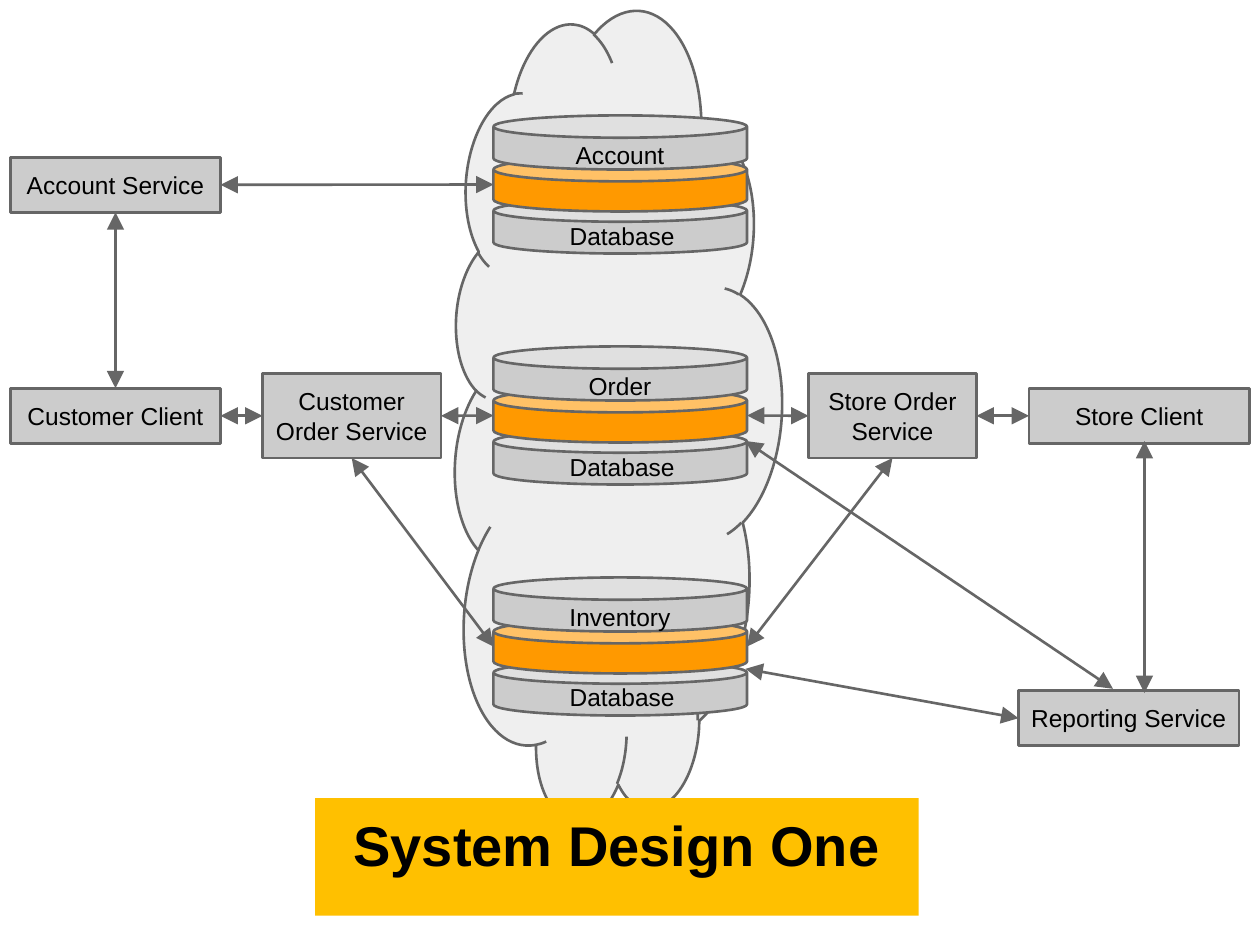
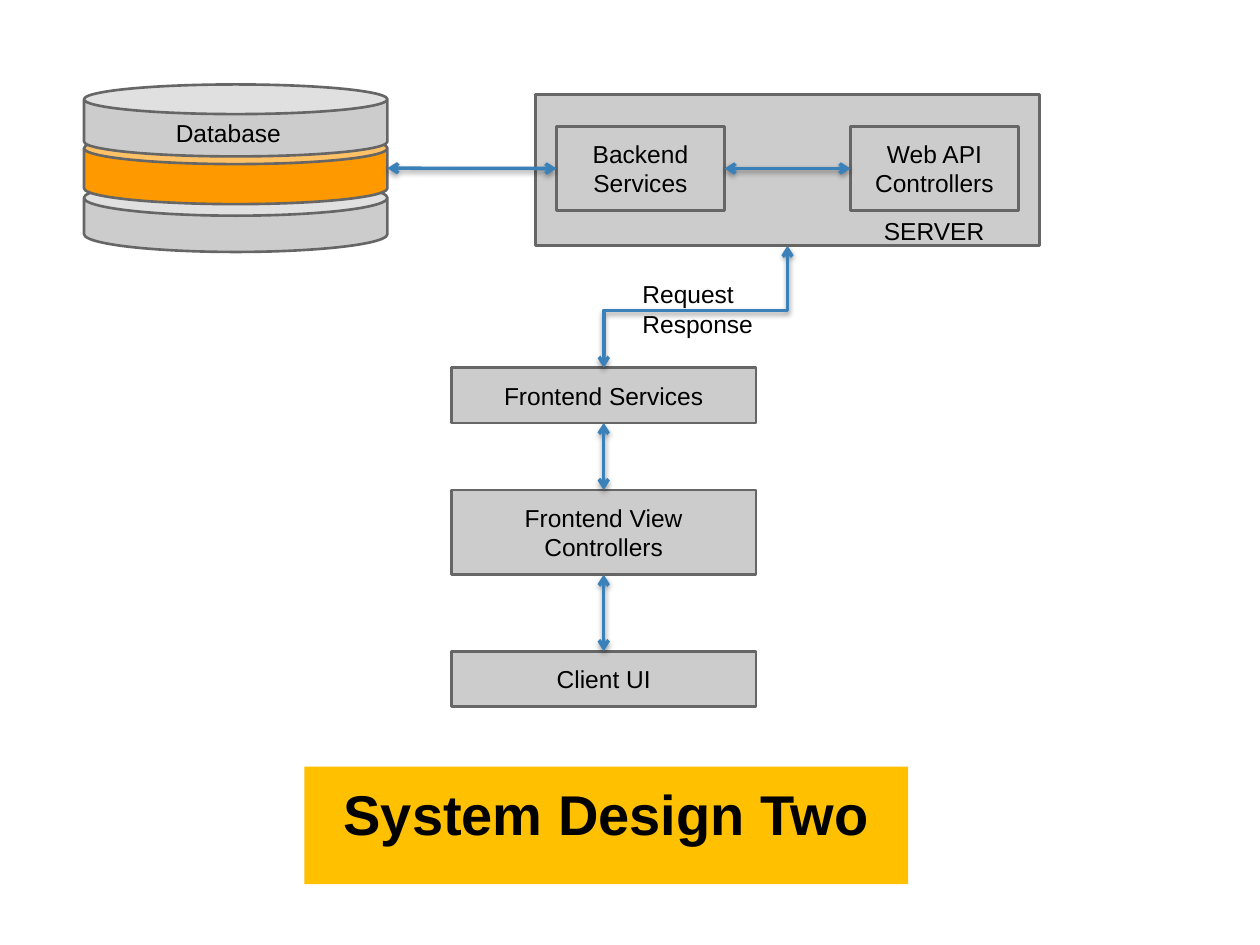
from dataclasses import dataclass
from typing import NamedTuple

from lxml import etree
from pptx import Presentation
from pptx.dml.color import RGBColor
from pptx.enum.shapes import MSO_CONNECTOR, MSO_SHAPE
from pptx.enum.text import MSO_ANCHOR, MSO_AUTO_SIZE, PP_ALIGN
from pptx.oxml.ns import qn
from pptx.util import Inches, Pt

# Look shared by both slides
BLACK = RGBColor(0x00, 0x00, 0x00)
GREY = RGBColor(0xCC, 0xCC, 0xCC)
PALE_GREY = RGBColor(0xEF, 0xEF, 0xEF)
OUTLINE = RGBColor(0x66, 0x66, 0x66)
ORANGE = RGBColor(0xFF, 0x99, 0x00)
BLUE = RGBColor(0x3A, 0x81, 0xBA)
BANNER = RGBColor(0xFF, 0xC0, 0x00)
FONT = "Arial"
BODY_SIZE, TITLE_SIZE = 14, 32
OUTLINE_WIDTH = 1.5

RECTANGLE, CAN, CLOUD = MSO_SHAPE.RECTANGLE, MSO_SHAPE.CAN, MSO_SHAPE.CLOUD
STRAIGHT, ELBOW = MSO_CONNECTOR.STRAIGHT, MSO_CONNECTOR.ELBOW
LEFT, CENTER = PP_ALIGN.LEFT, PP_ALIGN.CENTER
TOP, MIDDLE = MSO_ANCHOR.TOP, MSO_ANCHOR.MIDDLE
FIT_SHAPE = MSO_AUTO_SIZE.SHAPE_TO_FIT_TEXT
TITLE_ONLY = 5

# Grid: 120 columns by 90 rows
SLIDE_WIDTH, SLIDE_HEIGHT = Inches(10), Inches(7.5)
COLUMN, ROW = SLIDE_WIDTH / 120, SLIDE_HEIGHT / 90
ONE_LINE, TWO_LINES = 5.25, 8.05
LABEL_WIDTH = 13.8


class Point(NamedTuple):
    column: float
    row: float


@dataclass(frozen=True)
class Box:
    column: float
    row: float
    width: float
    height: float

    @property
    def left(self) -> Point:
        return Point(self.column, self.row + self.height / 2)

    @property
    def right(self) -> Point:
        return Point(self.column + self.width, self.row + self.height / 2)

    @property
    def top(self) -> Point:
        return Point(self.column + self.width / 2, self.row)

    @property
    def bottom(self) -> Point:
        return Point(self.column + self.width / 2, self.row + self.height)

    def lengths(self) -> tuple:
        return (round(self.column * COLUMN), round(self.row * ROW),
                round(self.width * COLUMN), round(self.height * ROW))


@dataclass(frozen=True)
class Stack:
    """Three overlapping disks."""
    column: float
    row: float
    width: float
    disk_height: float
    pitch: float
    bottom_curve: float = 0.412

    @property
    def outline(self) -> Box:
        return Box(self.column, self.row, self.width, 2 * self.pitch + self.disk_height)


class LinkStyle(NamedTuple):
    color: RGBColor
    width: float
    head: str
    head_size: str
    shadow: bool


GREY_LINK = LinkStyle(OUTLINE, 1.5, "triangle", "lg", False)
BLUE_LINK = LinkStyle(BLUE, 2, "arrow", "med", True)


def service_box(column: float, middle: float, width: float, height: float = ONE_LINE) -> Box:
    return Box(column, middle - height / 2, width, height)


def write_text(shape, lines: list, size: float = BODY_SIZE, bold: bool = False,
               align=CENTER, anchor=TOP, padding: float = 0.1, wrap: bool = True) -> None:
    frame = shape.text_frame
    frame.word_wrap = wrap
    frame.auto_size = FIT_SHAPE
    frame.vertical_anchor = anchor
    frame.margin_left = frame.margin_right = Inches(0.1)
    frame.margin_top = frame.margin_bottom = Inches(padding)
    for index, line in enumerate(lines):
        paragraph = frame.add_paragraph() if index else frame.paragraphs[0]
        paragraph.alignment = align
        run = paragraph.add_run()
        run.text = line
        run.font.name = FONT
        run.font.size = Pt(size)
        run.font.bold = bold
        run.font.color.rgb = BLACK


def add_outlined(slide, kind, box: Box, fill: RGBColor):
    shape = slide.shapes.add_shape(kind, *box.lengths())
    shape.shadow.inherit = False
    shape.fill.solid()
    shape.fill.fore_color.rgb = fill
    shape.line.color.rgb = OUTLINE
    shape.line.width = Pt(OUTLINE_WIDTH)
    return shape


def add_service(slide, box: Box, name: str) -> None:
    write_text(add_outlined(slide, RECTANGLE, box, GREY), [name], anchor=MIDDLE)


def add_label(slide, box: Box, lines: list, **options) -> None:
    write_text(slide.shapes.add_textbox(*box.lengths()), lines, **options)


def add_disk(slide, stack: Stack, level: int, fill: RGBColor, curve: float) -> None:
    box = Box(stack.column, stack.row + level * stack.pitch, stack.width, stack.disk_height)
    add_outlined(slide, CAN, box, fill).adjustments[0] = curve


def add_stack(slide, stack: Stack, top_label: Box, top_text: str,
              bottom_text: str = "") -> None:
    add_disk(slide, stack, 2, GREY, stack.bottom_curve)
    if bottom_text:
        row = top_label.row + 2 * stack.pitch - 0.3
        add_label(slide, Box(top_label.column + 0.2, row, LABEL_WIDTH, ONE_LINE), [bottom_text])
    add_disk(slide, stack, 1, ORANGE, 0.443)
    add_disk(slide, stack, 0, GREY, 0.412)
    add_label(slide, top_label, [top_text])


def style_link(connector, style: LinkStyle) -> None:
    connector.line.color.rgb = style.color
    connector.line.width = Pt(style.width)
    properties = connector.element.spPr
    line = properties.find(qn("a:ln"))
    for end in ("a:headEnd", "a:tailEnd"):
        etree.SubElement(line, qn(end), type=style.head, w=style.head_size, len=style.head_size)
    effects = etree.SubElement(properties, qn("a:effectLst"))
    if style.shadow:
        shadow = etree.SubElement(effects, qn("a:outerShdw"), blurRad="40000", dist="20000",
                                  dir="5400000", rotWithShape="0")
        color = etree.SubElement(shadow, qn("a:srgbClr"), val=str(BLACK))
        etree.SubElement(color, qn("a:alpha"), val="38000")


def add_link(slide, start: Point, end: Point, style: LinkStyle) -> None:
    connector = slide.shapes.add_connector(
        STRAIGHT, round(start.column * COLUMN), round(start.row * ROW),
        round(end.column * COLUMN), round(end.row * ROW))
    style_link(connector, style)


def add_vertical_elbow(slide, start: Point, end: Point, bend: float, style: LinkStyle) -> None:
    """Leaves start downwards and turns left to end: a quarter-turned elbow."""
    center_x = (start.column + end.column) * COLUMN / 2
    center_y = (start.row + end.row) * ROW / 2
    half_width = (end.row - start.row) * ROW / 2
    half_height = (start.column - end.column) * COLUMN / 2
    connector = slide.shapes.add_connector(
        ELBOW, round(center_x - half_width), round(center_y - half_height),
        round(center_x + half_width), round(center_y + half_height))
    properties = connector.element.spPr
    properties.find(qn("a:xfrm")).set("rot", "5400000")
    geometry = properties.find(qn("a:prstGeom"))
    values = geometry.find(qn("a:avLst"))
    if values is None:
        values = etree.SubElement(geometry, qn("a:avLst"))
    etree.SubElement(values, qn("a:gd"), name="adj1", fmla=f"val {round(bend * 100000)}")
    style_link(connector, style)


def add_title(slide, column: float, row: float, text: str) -> None:
    title = slide.shapes.title
    title.left, title.top, title.width, title.height = Box(column, row, 57.5, 8.9).lengths()
    title.fill.solid()
    title.fill.fore_color.rgb = BANNER
    write_text(title, [text], size=TITLE_SIZE, bold=True)
    # Bring the banner in front of what has been drawn so far
    title.element.getparent().append(title.element)


def build_design_one(presentation) -> None:
    slide = presentation.slides.add_slide(presentation.slide_layouts[TITLE_ONLY])
    cloud = add_outlined(slide, CLOUD, Box(19.8, 23.9, 77.4, 31.6), PALE_GREY)
    cloud.rotation = 274.1

    # Services and clients
    customer_order = service_box(25, 39.6, 17, TWO_LINES)
    store_order = service_box(77, 39.6, 16, TWO_LINES)
    store_client = service_box(98, 39.6, 21)
    customer_client = service_box(1, 39.6, 20)
    reporting = service_box(97, 68.4, 21)
    account_service = service_box(1, 17.6, 20)
    for box, name in (
        (customer_order, "Customer Order Service"),
        (store_order, "Store Order Service"),
        (store_client, "Store Client"),
        (customer_client, "Customer Client"),
        (reporting, "Reporting Service"),
        (account_service, "Account Service"),
    ):
        add_service(slide, box, name)

    # Links
    stacks = [Stack(47, 11 + 22 * index, 24.15, 5.15, 4) for index in range(3)]
    account, order, inventory = (stack.outline for stack in stacks)
    for start, end in (
        (customer_order.right, order.left),
        (order.right, store_order.left),
        (store_client.left, store_order.right),
        (customer_client.right, customer_order.left),
        (inventory.right, store_order.bottom),
        (inventory.left, customer_order.bottom),
        (reporting.left, Point(71, 63.7)),
        (account.left, account_service.right),
        (Point(109, 66), Point(109, 42)),
        (account_service.bottom, customer_client.top),
    ):
        add_link(slide, start, end, GREY_LINK)

    add_title(slide, 30, 76, "System Design One")

    # Databases
    for stack, name in zip(stacks, ("Account", "Order", "Inventory")):
        label = Box(52.15, stack.row + 1.1, LABEL_WIDTH, ONE_LINE)
        add_stack(slide, stack, label, name, "Database")
    add_link(slide, Point(106, 65.6), Point(71, 42), GREY_LINK)


def build_design_two(presentation) -> None:
    slide = presentation.slides.add_slide(presentation.slide_layouts[TITLE_ONLY])

    # Server panel and database
    server = Box(51, 9, 48, 14.4)
    add_outlined(slide, RECTANGLE, server, GREY)
    database = Stack(8, 8.05, 28.9, 6.85, 4.55, 0.496)
    add_stack(slide, database, Box(14.85, 10, LABEL_WIDTH, 6), "Database")

    # Services and controllers
    backend = service_box(53, 16.05, 16, TWO_LINES)
    web_api = service_box(81, 16.05, 16, TWO_LINES)
    frontend = service_box(43, 37.65, 29)
    view = service_box(43, 50.7, 29, TWO_LINES)
    client = service_box(43, 64.65, 29)
    for box, name in (
        (backend, "Backend Services"),
        (web_api, "Web API Controllers"),
        (frontend, "Frontend Services"),
        (view, "Frontend View Controllers"),
        (client, "Client UI"),
    ):
        add_service(slide, box, name)
    add_label(slide, Box(83, 20, 32, 4.1), ["SERVER"], align=LEFT, padding=0.05)

    # Links
    for start, end in (
        (web_api.left, backend.right),
        (backend.left, database.outline.right),
        (frontend.bottom, view.top),
        (view.bottom, client.top),
    ):
        add_link(slide, start, end, BLUE_LINK)
    add_vertical_elbow(slide, server.bottom, frontend.top, 0.53, BLUE_LINK)
    add_label(slide, Box(60, 26, 13.1, 6.8), ["Request", "Response"],
              align=LEFT, padding=0.05, wrap=False)

    add_title(slide, 29, 73, "System Design Two")


def main() -> None:
    presentation = Presentation()
    presentation.slide_width, presentation.slide_height = SLIDE_WIDTH, SLIDE_HEIGHT
    build_design_one(presentation)
    build_design_two(presentation)
    presentation.save("out.pptx")


main()
